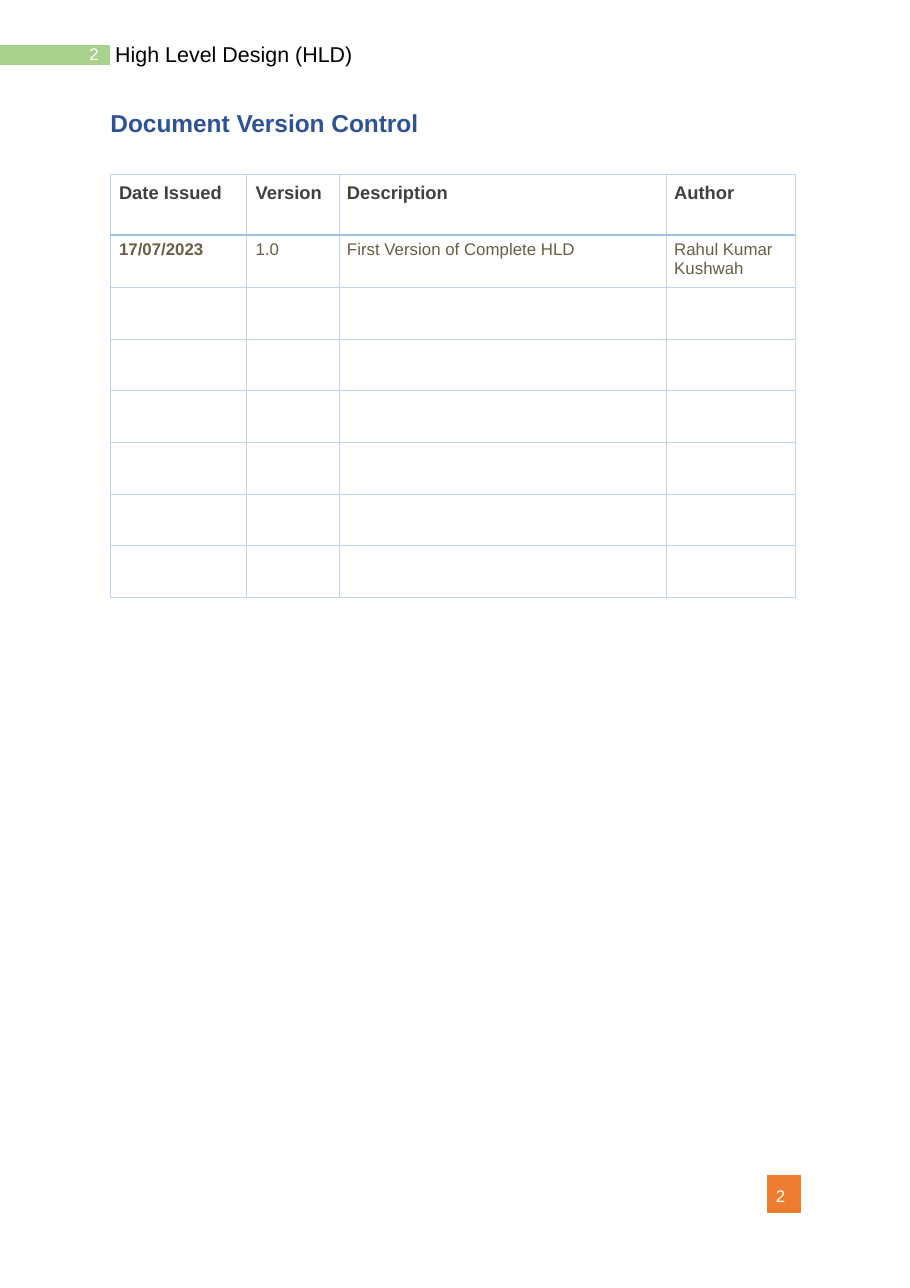
import pptx
import pptx.util
import pptx.dml.color
import pptx.enum.text
import pptx.oxml
import pptx.oxml.ns

PAGE_NUMBER = {"size": 11, "color": "FFFFFF"}
RUNNING_HEAD = {"size": 14, "color": "000000"}
HEADING = {"size": 16, "color": "2E5395", "bold": True}
COLUMN_HEAD = {"size": 12, "color": "404040", "bold": True}
ENTRY = {"size": 11, "color": "675E46", "bold": False}
ENTRY_DATE = {**ENTRY, "bold": True}
THIN_RULE = ("BCD5ED", 0.5)
HEADER_RULE = ("9CC2E4", 1.5)


def rgb(hex_color):
    return pptx.dml.color.RGBColor.from_string(hex_color)


class Page:
    """Holds the style and the slide; lengths are percentages of the page."""

    font_name = "Arial"

    def __init__(self, deck):
        self.width, self.height = deck.slide_width, deck.slide_height
        self.slide = deck.slides.add_slide(deck.slide_layouts[5])

    def x(self, share):
        return round(self.width * share / 100)

    def y(self, share):
        return round(self.height * share / 100)

    def place(self, left, top, width, height):
        return self.x(left), self.y(top), self.x(width), self.y(height)

    def add_words(self, frame, text, style):
        paragraph = frame.paragraphs[0]
        run = paragraph.add_run()
        run.text = text
        values = {**style, "name": self.font_name}
        values["size"] = pptx.util.Pt(values["size"])
        run.font.color.rgb = rgb(values.pop("color"))
        for name, value in values.items():
            setattr(run.font, name, value)
        return paragraph

    def set_frame(self, frame, text, style, indent):
        layout = {
            "margin_left": self.x(indent), "margin_right": 0,
            "margin_top": pptx.util.Inches(0.01), "margin_bottom": 0,
            "word_wrap": True,
            "auto_size": pptx.enum.text.MSO_AUTO_SIZE.NONE,
            "vertical_anchor": pptx.enum.text.MSO_ANCHOR.TOP,
        }
        for name, value in layout.items():
            setattr(frame, name, value)
        paragraph = self.add_words(frame, text, style)
        paragraph.alignment = pptx.enum.text.PP_ALIGN.LEFT

    def title(self, box, text, style):
        heading = self.slide.shapes.title
        sides = ("left", "top", "width", "height")
        for name, value in zip(sides, self.place(*box)):
            setattr(heading, name, value)
        self.set_frame(heading.text_frame, text, style, 0.15)

    def text(self, box, text, style, indent=0.15):
        label = self.slide.shapes.add_textbox(*self.place(*box))
        self.set_frame(label.text_frame, text, style, indent)

    def block(self, box, color):
        left, top, width, height = self.place(*box)
        outline = self.slide.shapes.build_freeform(left, top)
        outline.add_line_segments([
            (left + width, top), (left + width, top + height),
            (left, top + height)], close=True)
        band = outline.convert_to_shape()
        band.shadow.inherit = False
        band.fill.solid()
        band.fill.fore_color.rgb = rgb(color)
        band.line.fill.background()

    def cell_rules(self, cell, top, bottom):
        rules = {"lnL": THIN_RULE, "lnR": THIN_RULE, "lnT": top, "lnB": bottom}
        properties = cell._tc.get_or_add_tcPr()
        for position, (side, (color, points)) in enumerate(rules.items()):
            properties.insert(position, pptx.oxml.parse_xml(
                f'<a:{side} {pptx.oxml.ns.nsdecls("a")} '
                f'w="{pptx.util.Pt(points)}"><a:solidFill>'
                f'<a:srgbClr val="{color}"/></a:solidFill></a:{side}>'))

    def table(self, left, top, columns, rows, content):
        grid = self.slide.shapes.add_table(
            len(rows), len(columns),
            *self.place(left, top, sum(columns), sum(rows))).table
        grid.first_row = grid.horz_banding = False
        for column, share in zip(grid.columns, columns):
            column.width = self.x(share)
        for row, share in zip(grid.rows, rows):
            row.height = self.y(share)
        for r, row in enumerate(grid.rows):
            for c, cell in enumerate(row.cells):
                cell.fill.background()
                self.cell_rules(cell,
                                HEADER_RULE if r == 1 else THIN_RULE,
                                HEADER_RULE if r == 0 else THIN_RULE)
                if r < len(content):
                    margins = {
                        "margin_left": 0.08 if c < 2 else 0.07,
                        "margin_top": 0.08 if r == 0 else 0.05,
                        "margin_right": 0, "margin_bottom": 0,
                    }
                    for name, value in margins.items():
                        setattr(cell, name, pptx.util.Inches(value))
                    self.add_words(cell.text_frame, *content[r][c])


def main():
    deck = pptx.Presentation()
    deck.slide_width = pptx.util.Inches(8.26)
    deck.slide_height = pptx.util.Inches(11.69)
    page = Page(deck)

    # Coloured blocks behind the page numbers
    page.block((84.26, 91.27, 3.75, 2.91), "EC7C30")
    page.block((0, 3.51, 12.11, 1.54), "A9D18E")

    # Running head, heading and page numbers
    page.text((9.69, 3.34, 1.82, 1.8), "2", PAGE_NUMBER)
    page.text((12.5, 3.08, 27.24, 2.22), "High Level Design (HLD)", RUNNING_HEAD)
    page.title((11.99, 8.3, 36, 2.48), "Document Version Control", HEADING)
    page.text((84.75, 91.96, 3.15, 1.71), "2", PAGE_NUMBER, indent=0.5)

    # Version history, with blank rows for later issues
    headings = ["Date Issued", "Version", "Description", "Author"]
    first_issue = ["1.0", "First Version of Complete HLD", "Rahul Kumar Kushwah"]
    page.table(
        12.11, 13.52,
        columns=[15.01, 10.17, 35.96, 14.16],
        rows=[4.7, 4.11] + [4.01] * 6,
        content=[
            [(heading, COLUMN_HEAD) for heading in headings],
            [("17/07/2023", ENTRY_DATE)] + [(entry, ENTRY) for entry in first_issue],
        ])

    deck.save("out.pptx")


if __name__ == "__main__":
    main()
